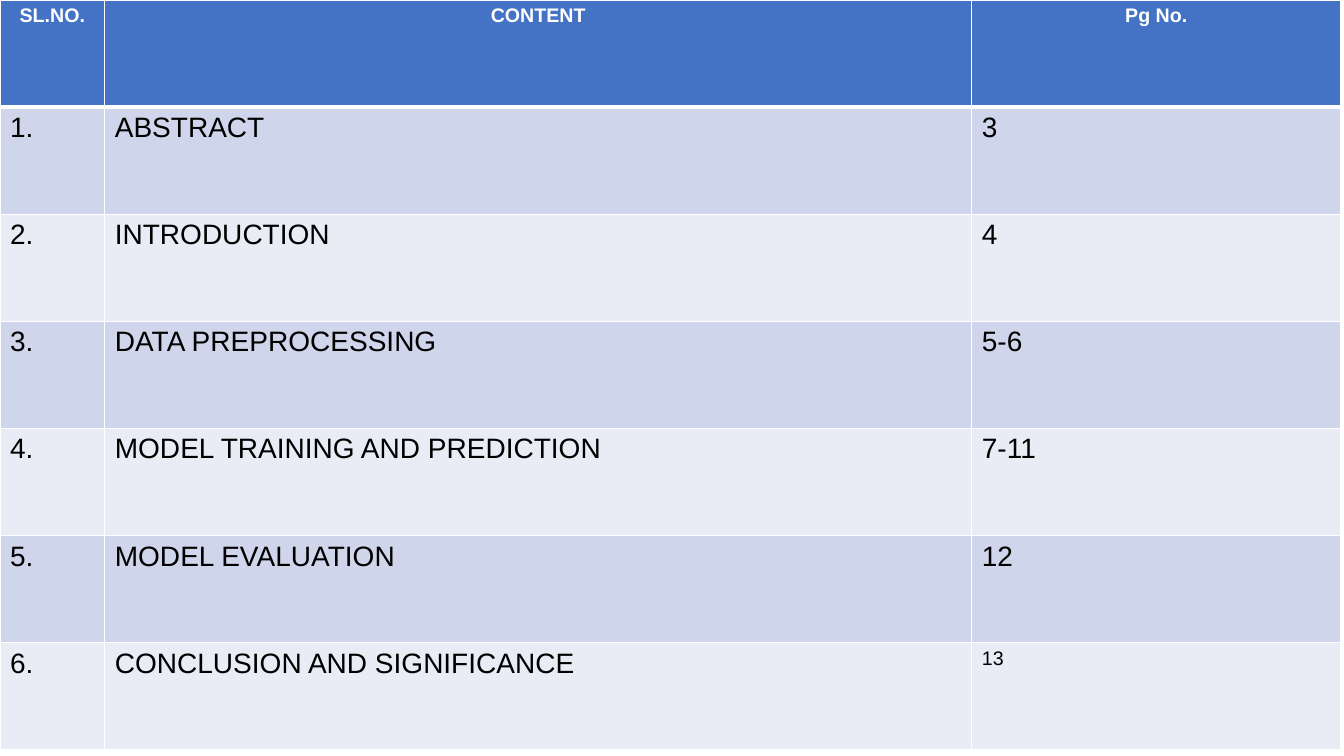
from lxml.etree import SubElement
from pptx import Presentation
from pptx.dml.color import RGBColor
from pptx.enum.text import PP_ALIGN as Align
from pptx.oxml.ns import qn
from pptx.util import Cm, Pt

# Content
HEADER = ("SL.NO.", "CONTENT", "Pg No.")
CHAPTERS = [
    ("ABSTRACT", "3"),
    ("INTRODUCTION", "4"),
    ("DATA PREPROCESSING", "5-6"),
    ("MODEL TRAINING AND PREDICTION", "7-11"),
    ("MODEL EVALUATION", "12"),
    ("CONCLUSION AND SIGNIFICANCE", "13"),
]

# Look
FONT = "Arial"
WHITE = RGBColor(0xFF, 0xFF, 0xFF)
BLACK = RGBColor(0x00, 0x00, 0x00)
BLUE = RGBColor(0x44, 0x72, 0xC4)
BANDS = (RGBColor(0xCF, 0xD5, 0xEA), RGBColor(0xE9, 0xEB, 0xF5))
COLUMN_WIDTHS = (Cm(2.64), Cm(21.85), Cm(9.3))
ROW_HEIGHT = Cm(2.7)


def add_borders(cell, top=1, bottom=1):
    properties = cell._tc.get_or_add_tcPr()
    for side, width in (("L", 1), ("R", 1), ("T", top), ("B", bottom)):
        line = SubElement(properties, qn(f"a:ln{side}"), w=str(Pt(width)))
        fill = SubElement(line, qn("a:solidFill"))
        SubElement(fill, qn("a:srgbClr"), val=str(WHITE))


def write_cell(cell, text, *, fill, size=20, color=BLACK, bold=False, align=Align.LEFT):
    cell.fill.solid()
    cell.fill.fore_color.rgb = fill
    para = cell.text_frame.paragraphs[0]
    para.alignment = align
    span = para.add_run()
    span.text = text
    span.font.name = FONT
    span.font.size = Pt(size)
    span.font.bold = bold
    span.font.color.rgb = color


# Slide
deck = Presentation()
deck.slide_width, deck.slide_height = Cm(33.87), Cm(19.05)
page = deck.slides.add_slide(deck.slide_layouts[6])

# Table grid
row_count = len(CHAPTERS) + 1
table = page.shapes.add_table(
    row_count, len(HEADER), Cm(0), Cm(0), sum(COLUMN_WIDTHS), ROW_HEIGHT * row_count
).table
for column, width in zip(table.columns, COLUMN_WIDTHS):
    column.width = width
for row in table.rows:
    row.height = ROW_HEIGHT

# Header row, with a thick rule below
for cell, title in zip(table.rows[0].cells, HEADER):
    add_borders(cell, bottom=3)
    write_cell(cell, title, fill=BLUE, size=14, color=WHITE, bold=True, align=Align.CENTER)

# Numbered, banded chapter rows; the last page number is smaller
for number, (chapter, pages) in enumerate(CHAPTERS, start=1):
    sizes = (20, 20, 14 if number == len(CHAPTERS) else 20)
    texts = (f"{number}.", chapter, pages)
    for cell, text, size in zip(table.rows[number].cells, texts, sizes):
        add_borders(cell, top=3 if number == 1 else 1)
        write_cell(cell, text, fill=BANDS[(number - 1) % 2], size=size)

deck.save("out.pptx")
